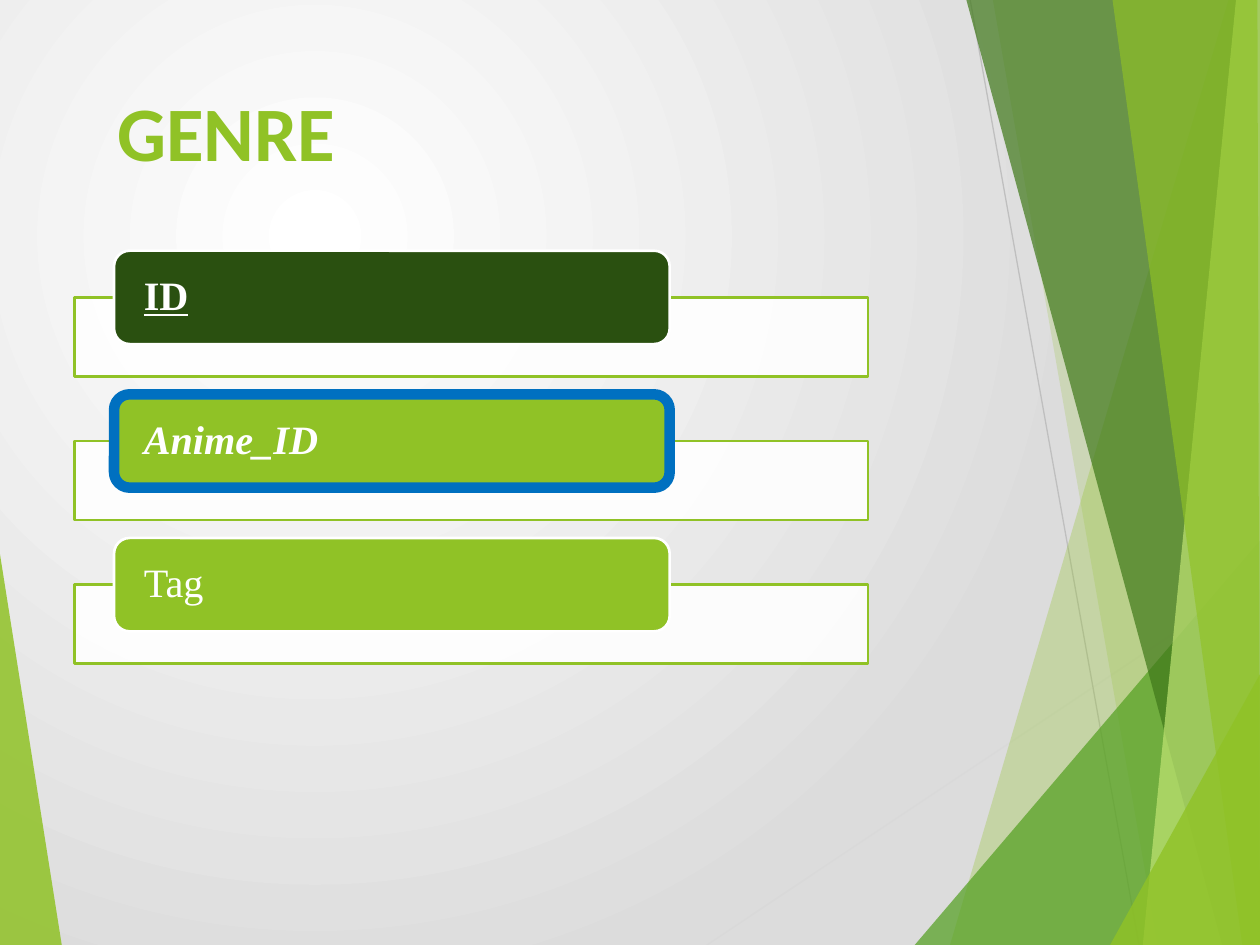
import pptx
import pptx.dml.color
import pptx.enum.shapes
import pptx.enum.text
import pptx.oxml
import pptx.oxml.ns
import pptx.util
from lxml import etree

CELL = pptx.util.Inches(0.1)
COLUMNS, ROWS = 100, 75
GREEN, WHITE = "90C226", "FFFFFF"
BODY_FONT = "Times New Roman"

LEFT_FACET = ([(0, 44), (4.9, 75), (0, 75)], GREEN, 85)
RIGHT_FACETS = [
    ([(97.5, 0), (75.4, 75), (100, 75), (100, 0)], GREEN, 30),
    ([(78.8, 0), (91.9, 75), (100, 75), (100, 0)], GREEN, 20),
    ([(72.6, 75), (100, 42.9), (100, 75)], "54A021", 72),
    ([(76.7, 0), (97, 75), (100, 75), (100, 0)], "3F7819", 70),
    ([(98.1, 0), (90.7, 75), (100, 75), (100, 0)], "C0E474", 70),
    ([(88.3, 0), (98.6, 75), (100, 75), (99.8, 0)], GREEN, 65),
    ([(88.1, 75), (100, 53.5), (100, 75)], GREEN, 80),
]
HAIRLINES = [
    ((56.1, 75), (100, 45.7), "D9D9D9"),
    ((77, 0), (90.4, 75), "BFBFBF"),
]
FIELDS = [
    ("ID", "2A5010", WHITE, 1.5, {"bold": True, "underline": True}),
    ("Anime_ID", GREEN, "0070C0", 6, {"bold": True, "italic": True}),
    ("Tag", GREEN, WHITE, 1.5, {}),
]


def colour(value):
    """Return the colour for a hex string."""
    return pptx.dml.color.RGBColor.from_string(value)


def cells(*values):
    """Convert grid units to whole slide units."""
    return [pptx.util.Emu(round(value * CELL)) for value in values]


def paint(shape, fill, opacity=100, line=None, width=1.5):
    """Give a shape its fill, opacity and outline, without shadow."""
    shape.shadow.inherit = False
    shape.fill.solid()
    shape.fill.fore_color.rgb = colour(fill)
    if opacity < 100:
        tint = shape.element.spPr.xpath("./a:solidFill/a:srgbClr")[0]
        alpha = etree.SubElement(tint, pptx.oxml.ns.qn("a:alpha"))
        alpha.set("val", str(opacity * 1000))
    if line:
        shape.line.color.rgb = colour(line)
        shape.line.width = pptx.util.Pt(width)
    else:
        shape.line.fill.background()


def add_run(paragraph, text, font, size, fill, **styles):
    """Append one formatted run to a paragraph."""
    run = paragraph.add_run()
    run.text = text
    run.font.name = font
    run.font.size = pptx.util.Pt(size)
    run.font.color.rgb = colour(fill)
    for name, value in styles.items():
        setattr(run.font, name, value)


def add_background(slide):
    """Fill the slide with a radial gradient from white to grey."""
    fill = slide.background.fill
    fill.gradient()
    for stop, value in zip(fill.gradient_stops, (WHITE, "DCDCDC")):
        stop.color.rgb = colour(value)
    gradient = slide.element.xpath(".//p:bg//a:gradFill")[0]
    for linear in gradient.xpath("./a:lin"):
        gradient.remove(linear)
    circle = etree.SubElement(gradient, pptx.oxml.ns.qn("a:path"), path="circle")
    etree.SubElement(circle, pptx.oxml.ns.qn("a:fillToRect"),
                     l="50000", t="50000", r="100000", b="100000")


def add_facet(slide, box, points, fill, opacity):
    """Draw one translucent polygon relative to the box."""
    left, top = box[:2]
    corners = [cells(left + x, top + y) for x, y in points]
    builder = slide.shapes.build_freeform(*corners[0])
    builder.add_line_segments(corners[1:], close=True)
    paint(builder.convert_to_shape(), fill, opacity)


def add_hairline(slide, box, start, end, fill):
    """Draw one thin line relative to the box."""
    left, top = box[:2]
    line = slide.shapes.add_connector(
        pptx.enum.shapes.MSO_CONNECTOR.STRAIGHT,
        *cells(left + start[0], top + start[1], left + end[0], top + end[1]))
    line.line.color.rgb = colour(fill)
    line.line.width = pptx.util.Pt(0.75)
    etree.SubElement(line.element.spPr, pptx.oxml.ns.qn("a:effectLst"))


def add_decoration(slide, box):
    """Place the facets and hairlines at the sides of the slide."""
    add_facet(slide, box, *LEFT_FACET)
    for hairline in HAIRLINES:
        add_hairline(slide, box, *hairline)
    for facet in RIGHT_FACETS:
        add_facet(slide, box, *facet)


def add_title(slide, box, text):
    """Place the slide title in its placeholder."""
    title = slide.shapes.title
    title.left, title.top, title.width, title.height = cells(*box)
    frame = title.text_frame
    frame.word_wrap = False
    frame.vertical_anchor = pptx.enum.text.MSO_ANCHOR.TOP
    paragraph = frame.paragraphs[0]
    paragraph.alignment = pptx.enum.text.PP_ALIGN.LEFT
    add_run(paragraph, text, "Calibri", 44, GREEN, bold=True)


def add_field(slide, box, text, fill, line, width, styles):
    """Place a framed panel with a rounded label over its top edge."""
    left, top, across, down = box
    panel = slide.shapes.add_shape(
        pptx.enum.shapes.MSO_SHAPE.RECTANGLE,
        *cells(left, top + 0.325 * down, across, 0.55 * down))
    paint(panel, WHITE, 90, GREEN)
    label = slide.shapes.add_shape(
        pptx.enum.shapes.MSO_SHAPE.ROUNDED_RECTANGLE,
        *cells(left + 0.05 * across, top, 0.7 * across, 0.65 * down))
    paint(label, fill, line=line, width=width)
    frame = label.text_frame
    frame.word_wrap = True
    frame.vertical_anchor = pptx.enum.text.MSO_ANCHOR.MIDDLE
    frame.margin_left = frame.margin_right = pptx.util.Inches(0.2)
    frame.margin_top = frame.margin_bottom = 0
    paragraph = frame.paragraphs[0]
    paragraph.alignment = pptx.enum.text.PP_ALIGN.LEFT
    paragraph.line_spacing = 0.9
    add_run(paragraph, text, BODY_FONT, 23, WHITE, **styles)


def add_field_list(slide, box, fields):
    """Stack the fields in equal bands of the box."""
    left, top, across, down = box
    band = down / len(fields)
    for index, field in enumerate(fields):
        add_field(slide, (left, top + index * band, across, band), *field)


def main():
    """Build and save the presentation."""
    presentation = pptx.Presentation()
    presentation.slide_width, presentation.slide_height = cells(COLUMNS, ROWS)
    slide = presentation.slides.add_slide(presentation.slide_layouts[5])
    add_background(slide)
    add_decoration(slide, (0, 0, COLUMNS, ROWS))
    add_field_list(slide, (5.9, 19.9, 63, 34.2), FIELDS)
    add_title(slide, (8.3, 6.2, 19.5, 8.4), "GENRE")
    presentation.save("out.pptx")


if __name__ == "__main__":
    main()
